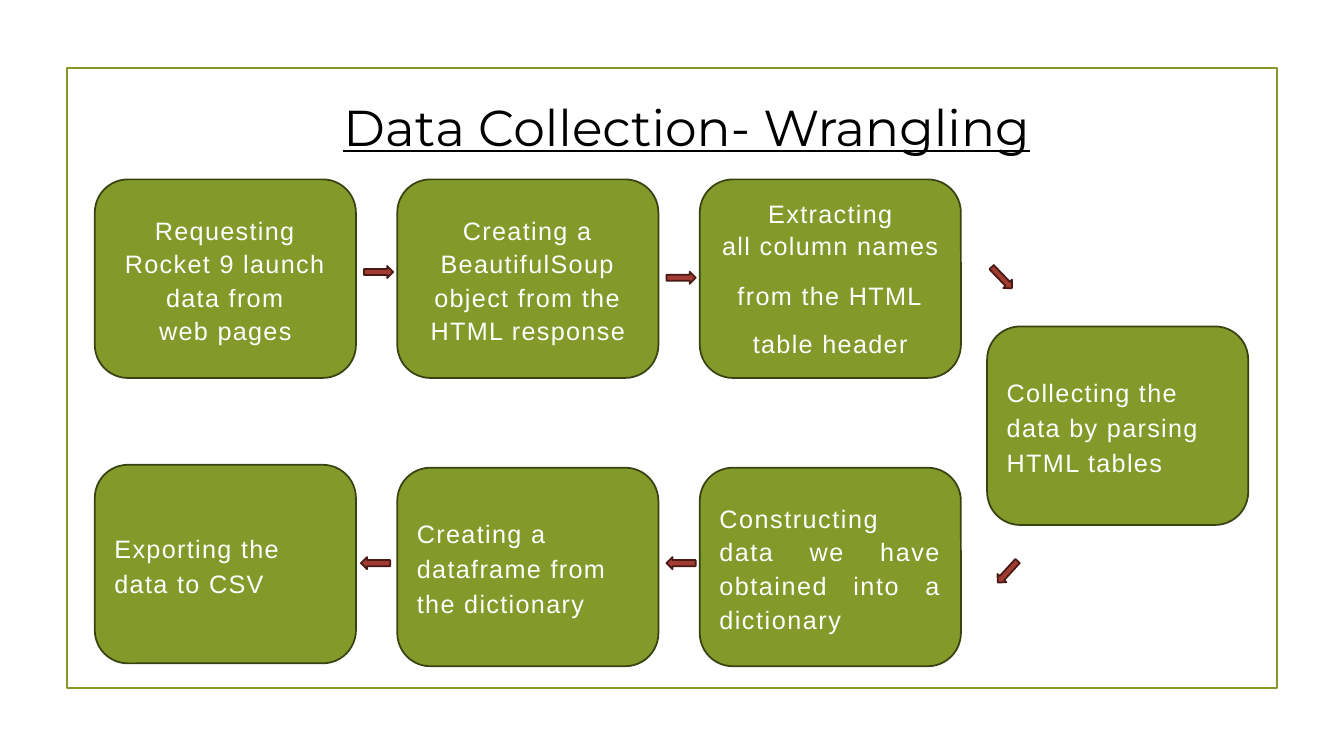
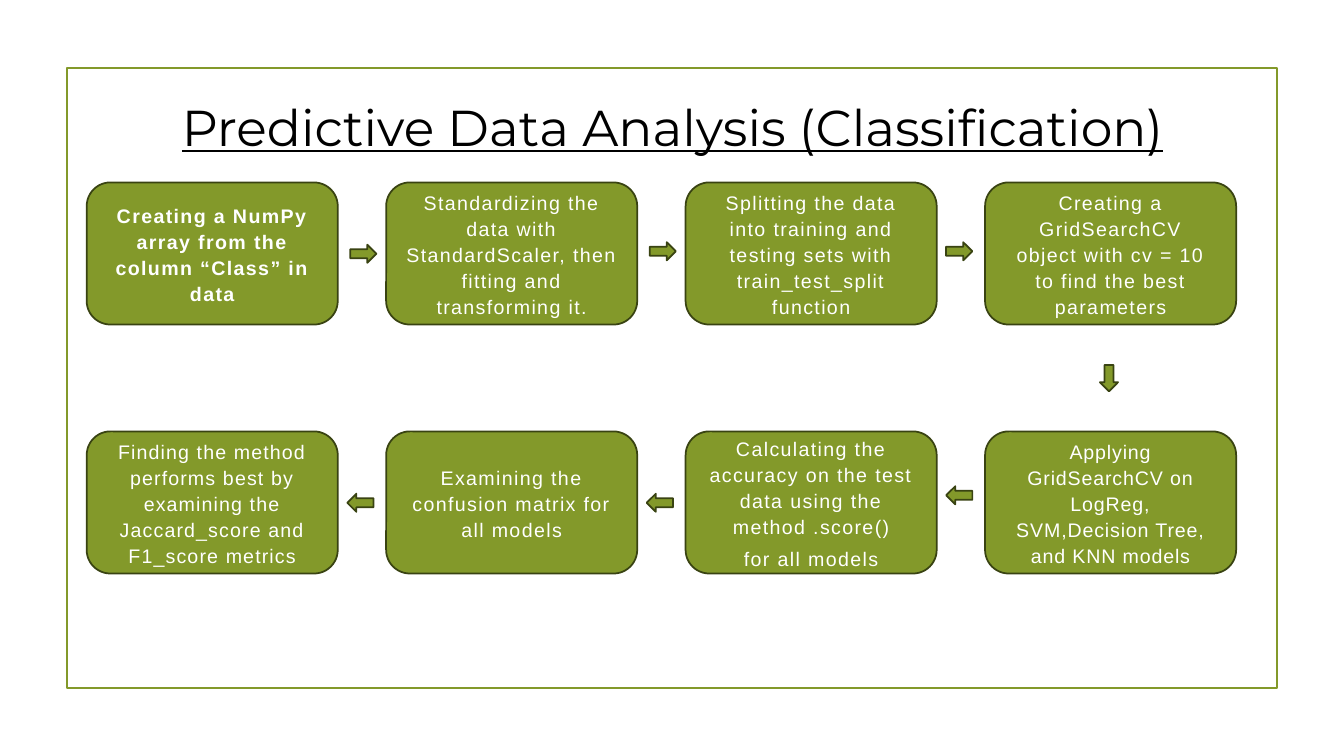
from pptx import Presentation
from pptx.dml.color import RGBColor as RGB
from pptx.enum.shapes import MSO_SHAPE as Form
from pptx.enum.text import MSO_ANCHOR as Anchor, PP_ALIGN as Align
from pptx.util import Inches, Pt

HUE = {
    "green": "83992A", "moss": "394312", "red": "A23C33", "wine": "471A16",
    "black": "000000", "white": "FFFFFF",
}
WIDE, HIGH = 13.33, 7.5

# Boxes: column, row, paragraphs (text, format). Arrows: column, row, angle.
LEFT = {"align": Align.LEFT}
SLIDES = [
    {
        "title": "Data Collection- Wrangling", "mid": 6.81,
        "start": (0.94, 1.78), "step": (3, 2.86), "box": (2.59, 1.97),
        "size": 18, "arrow": (0.29, 0.12), "paint": ("red", "wine"),
        "boxes": [
            (0, 0, [("Requesting\vRocket 9 launch\vdata from\vweb pages", {})]),
            (1, 0, [("Creating a\vBeautifulSoup\vobject from the\vHTML response", {})]),
            (2, 0, [("Extracting", {"lead": 1.0}),
                    ("all column names", {"lead": 1.0}),
                    ("from the HTML\vtable header", {"lead": Pt(34.7)})]),
            (2.95, 0.51, [("Collecting the", LEFT), ("data by parsing", LEFT),
                          ("HTML tables", LEFT)]),
            (2, 1, [("Constructing data we have obtained into a dictionary",
                     {"align": Align.JUSTIFY, "track": 1.1})]),
            (1, 1, [("Creating a", LEFT), ("dataframe from", LEFT),
                    ("the dictionary", LEFT)]),
            (0, 0.99, [("Exporting the", LEFT), ("data to CSV", LEFT)]),
        ],
        "arrows": [(0.89, 0.3, 0), (1.89, 0.32, 0), (2.95, 0.32, 46),
                   (2.97, 1.34, 132.4), (1.89, 1.31, 180), (0.88, 1.31, 180)],
    },
    {
        "title": "Predictive Data Analysis (Classification)", "mid": 6.67,
        "start": (0.86, 1.81), "step": (2.97, 2.47), "box": (2.49, 1.41),
        "size": 14, "arrow": (0.26, 0.18), "paint": ("green", "moss"),
        "boxes": [
            (0, 0, [("Creating a NumPy\varray from the\vcolumn “Class” in\vdata",
                     {"bold": True})]),
            (1, 0, [("Standardizing the\vdata with\vStandardScaler, then\v"
                     "fitting and\vtransforming it.", {})]),
            (2, 0, [("Splitting the data\vinto training and\vtesting sets with\v"
                     "train_test_split\vfunction", {})]),
            (3, 0, [("Creating a\vGridSearchCV\vobject with cv = 10\v"
                     "to find the best\vparameters", {})]),
            (3, 1, [("Applying\vGridSearchCV on\vLogReg,\vSVM,Decision Tree,\v"
                     "and KNN models", {"track": 0.6})]),
            (2, 1, [("Calculating the\vaccuracy on the test\vdata using the\v"
                     "method .score()", {}),
                    ("for all models", {"lead": 1.0, "above": 5.8})]),
            (1, 1, [("Examining the\vconfusion matrix for\vall models", {})]),
            (0, 1, [("Finding the method\vperforms best by\vexamining the\v"
                     "Jaccard_score and\vF1_score metrics", {"track": 0.8})]),
        ],
        "arrows": [(0.88, 0.25, 0), (1.88, 0.24, 0), (2.87, 0.24, 0),
                   (3.37, 0.75, 90), (2.87, 1.22, 180), (1.87, 1.25, 180),
                   (0.87, 1.25, 180)],
    },
]


def write(frame, text, size=18, face="Arial", hue="white", bold=False, line=False,
          align=Align.CENTER, lead=1.11, above=0.9, track=0.95):
    """Add a paragraph to frame; lead is line spacing, track letter spacing."""
    first = not frame.text
    para = frame.paragraphs[0] if first else frame.add_paragraph()
    para.text = text
    para.alignment, para.line_spacing = align, lead
    if not first:
        para.space_before = Pt(above)
    for run in para.runs:
        font = run.font
        font.size, font.name = Pt(size), face
        font.bold, font.underline = bold, line
        font.color.rgb = RGB.from_string(HUE[hue])
        run._r.get_or_add_rPr().set("spc", str(round(track * 100)))


def draw(form, x, y, w, h, fill, edge):
    shape = slide.shapes.add_shape(form, Inches(x), Inches(y), Inches(w), Inches(h))
    shape.shadow.inherit = False
    if fill:
        shape.fill.solid()
        shape.fill.fore_color.rgb = RGB.from_string(HUE[fill])
    else:
        shape.fill.background()
    shape.line.color.rgb = RGB.from_string(HUE[edge])
    shape.line.width = Pt(1.25)
    return shape


deck = Presentation()
deck.slide_width, deck.slide_height = Inches(WIDE), Inches(HIGH)

for page in SLIDES:
    slide = deck.slides.add_slide(deck.slide_layouts[6])
    draw(Form.RECTANGLE, WIDE * 0.05, HIGH * 0.09, WIDE * 0.9, HIGH * 0.82, None, "green")

    span = WIDE * 0.84
    head = slide.shapes.add_textbox(Inches(page["mid"] - span / 2), Inches(HIGH * 0.12),
                                    Inches(span), Inches(0.71)).text_frame
    head.word_wrap = True
    write(head, page["title"], size=36, face="Montserrat", hue="black", line=True,
          lead=1.0, track=0)

    (left, top), (dx, dy) = page["start"], page["step"]
    for col, row, paras in page["boxes"]:
        box = draw(Form.ROUNDED_RECTANGLE, left + col * dx, top + row * dy,
                   *page["box"], "green", "moss")
        frame = box.text_frame
        frame.word_wrap, frame.vertical_anchor = True, Anchor.MIDDLE
        for text, style in paras:
            write(frame, text, size=page["size"], **style)

    for col, row, turn in page["arrows"]:
        arrow = draw(Form.RIGHT_ARROW, left + col * dx, top + row * dy,
                     *page["arrow"], *page["paint"])
        arrow.rotation = turn

deck.save("out.pptx")
